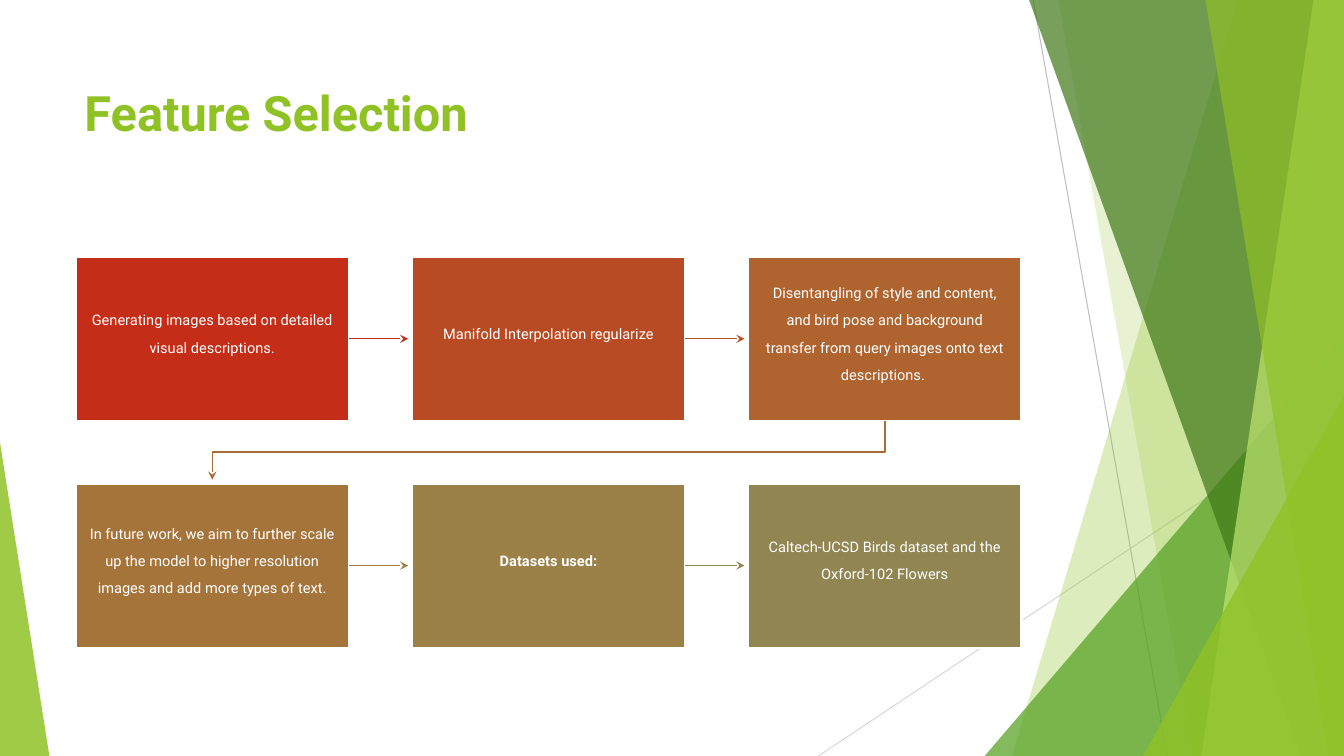
from lxml.etree import SubElement
from pptx import Presentation
from pptx.dml.color import RGBColor
from pptx.enum.shapes import MSO_CONNECTOR, MSO_SHAPE
from pptx.enum.text import MSO_ANCHOR, PP_ALIGN
from pptx.oxml.ns import qn
from pptx.util import Pt

WIDTH, HEIGHT = 960, 540
WHITE = RGBColor(0xFF, 0xFF, 0xFF)
LIME = RGBColor(0x90, 0xC2, 0x26)
PALE_LIME = RGBColor(0xBF, 0xE4, 0x71)
GREEN = RGBColor(0x54, 0xA0, 0x21)
DARK_GREEN = RGBColor(0x3F, 0x78, 0x18)
GRAY = RGBColor(0xBF, 0xBF, 0xBF)
LIGHT_GRAY = RGBColor(0xD8, 0xD8, 0xD8)
RED = RGBColor(0xC4, 0x2D, 0x17)
BRICK = RGBColor(0xB9, 0x4B, 0x24)
BRICK_ARROW = RGBColor(0xB7, 0x51, 0x26)
RUST = RGBColor(0xAF, 0x63, 0x2F)
RUST_ARROW = RGBColor(0xAB, 0x6B, 0x34)
TAN = RGBColor(0xA5, 0x74, 0x3B)
TAN_ARROW = RGBColor(0x9E, 0x7E, 0x43)
KHAKI = RGBColor(0x9B, 0x80, 0x47)
OLIVE = RGBColor(0x91, 0x85, 0x52)

BOX_LEFT, BOX_TOP = 54, 183.4
BOX_WIDTH, BOX_HEIGHT = 195.3, 117.2
COLUMN_STEP, ROW_STEP = 240.2, 162
ARROW_LENGTH = 42.3

STEPS = [
    ("Generating images based on detailed visual descriptions.", RED, RED, False),
    ("Manifold Interpolation regularize", BRICK, BRICK_ARROW, False),
    ("Disentangling of style and content, and bird pose and background transfer "
     "from query images onto text descriptions. ", RUST, RUST_ARROW, False),
    ("In future work, we aim to further scale up the model to higher resolution "
     "images and add more types of text.", TAN, TAN_ARROW, False),
    ("Datasets used:", KHAKI, OLIVE, True),
    ("Caltech-UCSD Birds dataset and the Oxford-102 Flowers", OLIVE, None, False),
]


class Painter:
    def __init__(self, page, font_name):
        self.shapes = page.shapes
        self.font_name = font_name

    def fill(self, shape, color, opacity=100):
        shape.shadow.inherit = False
        shape.fill.solid()
        shape.fill.fore_color.rgb = color
        shape.line.fill.background()
        if opacity < 100:
            tint = shape._element.spPr.find(qn("a:solidFill"))[0]
            SubElement(tint, qn("a:alpha"), val=str(opacity * 1000))

    def outline(self, points, close):
        corners = [(Pt(x), Pt(y)) for x, y in points]
        builder = self.shapes.build_freeform(*corners[0], scale=1.0)
        builder.add_line_segments(corners[1:], close=close)
        return builder.convert_to_shape()

    def band(self, top_left, bottom_left, color, opacity):
        """Draw a full-height strip that reaches the right edge of the slide."""
        points = [(top_left, 0), (WIDTH, 0), (WIDTH, HEIGHT), (bottom_left, HEIGHT)]
        self.fill(self.outline(points, True), color, opacity)

    def corner(self, left, top, width, apex, color, opacity):
        """Draw a triangle standing on the bottom edge; apex runs from 0 to 1."""
        shape = self.shapes.add_shape(MSO_SHAPE.ISOSCELES_TRIANGLE, Pt(left), Pt(top),
                                      Pt(width), Pt(HEIGHT - top))
        shape.adjustments[0] = apex
        self.fill(shape, color, opacity)

    def line(self, start, end, color, weight):
        connector = self.shapes.add_connector(
            MSO_CONNECTOR.STRAIGHT, *(Pt(value) for value in (*start, *end)))
        connector.line.color.rgb = color
        connector.line.width = Pt(weight)
        SubElement(connector._element.spPr, qn("a:effectLst"))
        return connector

    def add_head(self, shape):
        SubElement(shape.line._get_or_add_ln(), qn("a:tailEnd"), type="stealth")

    def step_arrow(self, box, start, color):
        """Lead from the right side of a box towards the next one."""
        x, y = start
        arrow = self.line(start, (x + ARROW_LENGTH, y), color, 1)
        arrow.begin_connect(box, 3)
        self.add_head(arrow)

    def bent_arrow(self, points, color):
        shape = self.outline(points, False)
        shape.shadow.inherit = False
        shape.fill.background()
        shape.line.color.rgb = color
        shape.line.width = Pt(1)
        self.add_head(shape)

    def put_text(self, frame, text, size, color, bold):
        """Set one paragraph of raised text in a frame."""
        frame.word_wrap = True
        para = frame.paragraphs[0]
        span = para.add_run()
        span.text = text
        span._r.get_or_add_rPr().set("baseline", "30000")
        font = para.font
        font.name, font.size, font.bold = self.font_name, Pt(size), bold
        font.color.rgb = color
        return para

    def title(self, text):
        box = self.shapes.add_textbox(Pt(53.3), Pt(48.2), Pt(676.8), Pt(103.7))
        self.put_text(box.text_frame, text, 60, LIME, True)

    def step_box(self, left, top, text, color, bold):
        box = self.shapes.add_shape(MSO_SHAPE.RECTANGLE, Pt(left), Pt(top),
                                    Pt(BOX_WIDTH), Pt(BOX_HEIGHT))
        self.fill(box, color)
        box.line.color.rgb = WHITE
        box.line.width = Pt(1.5)
        frame = box.text_frame
        frame.margin_left = frame.margin_right = Pt(9.4)
        frame.margin_top = frame.margin_bottom = Pt(10)
        frame.vertical_anchor = MSO_ANCHOR.MIDDLE
        para = self.put_text(frame, text, 18, WHITE, bold)
        para.alignment = PP_ALIGN.CENTER
        para.line_spacing = 0.9
        return box


def draw_backdrop(painter):
    painter.line((738, 0), (833.8, HEIGHT), GRAY, 0.75)
    painter.line((WIDTH, 290.2), (584.6, HEIGHT), LIGHT_GRAY, 0.75)
    painter.band(884.2, 722.9, LIME, 30)
    painter.band(756, 851.8, LIME, 20)
    painter.corner(703.4, 239.8, 256.6, 1, GREEN, 72)
    painter.band(735.1, 929.5, DARK_GREEN, 70)
    painter.band(938.2, 858.2, PALE_LIME, 70)
    painter.band(861.1, 949, LIME, 65)
    painter.corner(816.5, 283, 143.5, 1, LIME, 80)
    painter.corner(0, 316.1, 35.3, 0, LIME, 85)


def draw_steps(painter):
    for index, (text, color, arrow_color, bold) in enumerate(STEPS):
        row, column = divmod(index, 3)
        left = BOX_LEFT + column * COLUMN_STEP
        top = BOX_TOP + row * ROW_STEP
        box = painter.step_box(left, top, text, color, bold)
        if column < 2:
            side = (left + BOX_WIDTH, top + BOX_HEIGHT / 2)
            painter.step_arrow(box, side, arrow_color)
        elif arrow_color:
            start_x, end_x = left + BOX_WIDTH / 2, BOX_LEFT + BOX_WIDTH / 2
            bottom, next_top = top + BOX_HEIGHT, top + ROW_STEP
            bend = (bottom + next_top) / 2
            painter.bent_arrow([(start_x, bottom), (start_x, bend), (end_x, bend),
                                (end_x, next_top - 2.8)], arrow_color)


def main():
    deck = Presentation()
    deck.slide_width, deck.slide_height = Pt(WIDTH), Pt(HEIGHT)
    page = deck.slides.add_slide(deck.slide_layouts[6])
    painter = Painter(page, "Roboto")
    draw_backdrop(painter)
    painter.title("Feature Selection")
    draw_steps(painter)
    deck.save("out.pptx")


if __name__ == "__main__":
    main()
